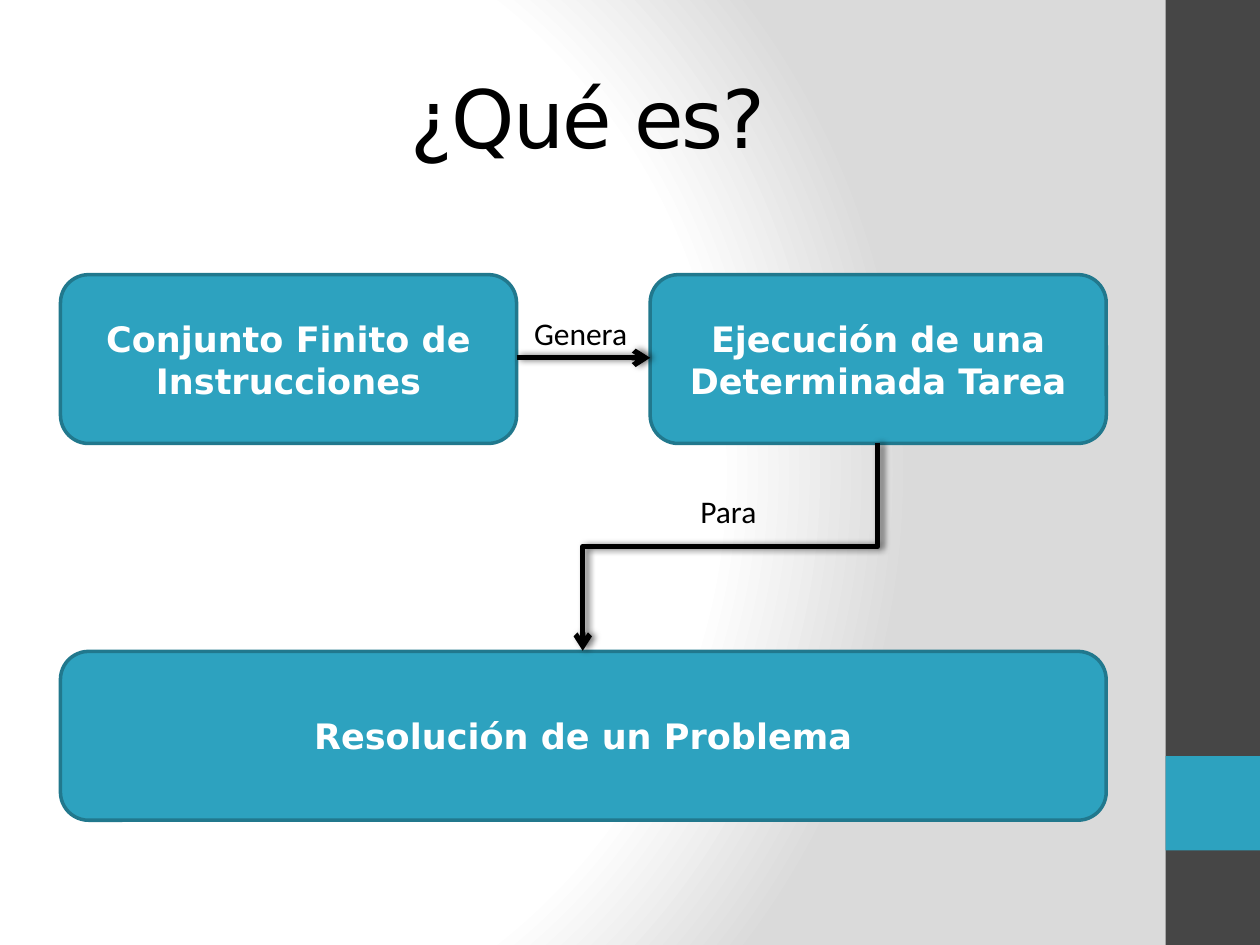
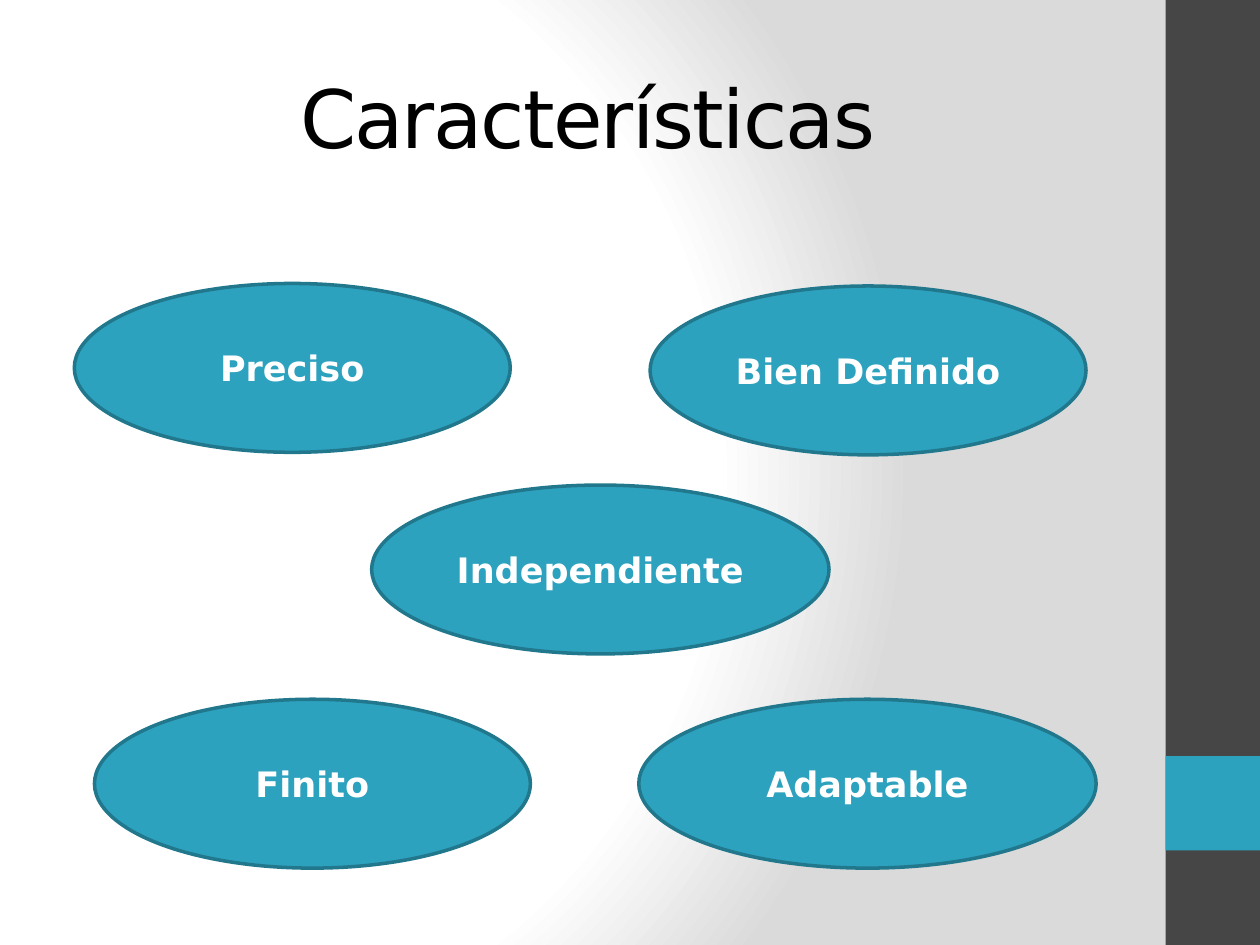
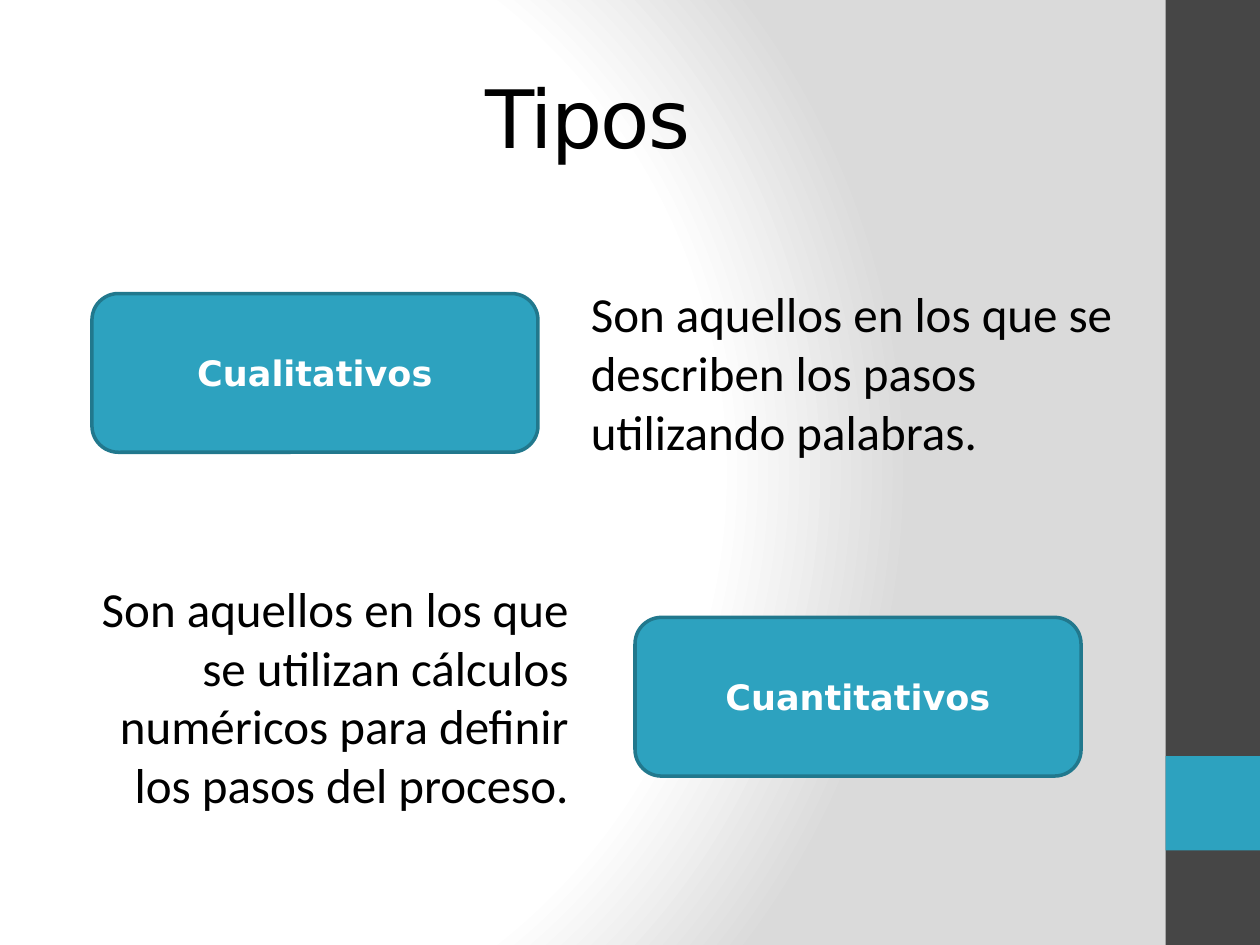
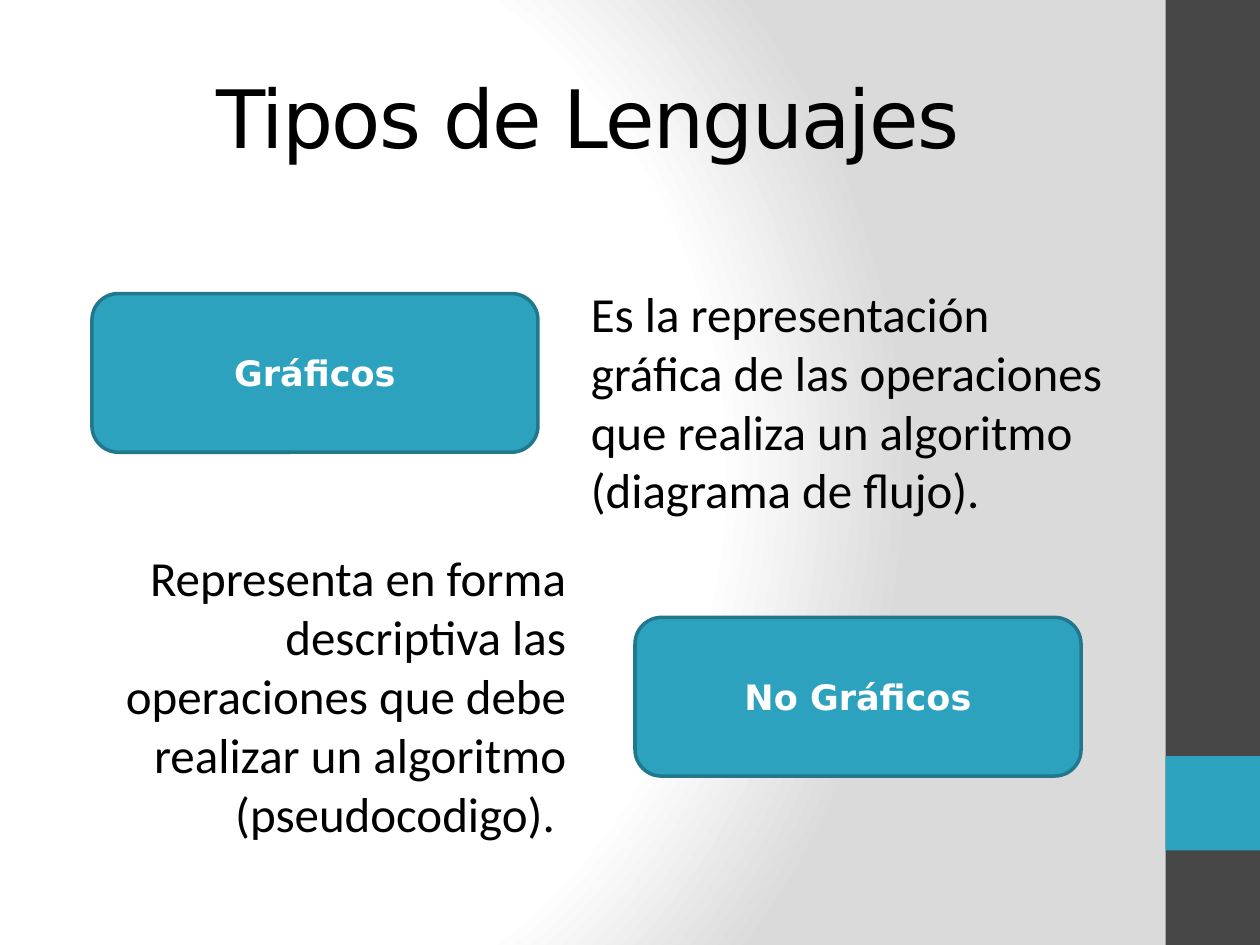
"""Build a four-slide deck on algorithms: definition, traits, types and languages."""
import pptx
import pptx.util
import pptx.oxml
import pptx.oxml.ns
import pptx.dml.color
import pptx.enum.shapes
import pptx.enum.text

Inches, Pt = pptx.util.Inches, pptx.util.Pt
SHAPE = pptx.enum.shapes.MSO_SHAPE
CONNECTOR = pptx.enum.shapes.MSO_CONNECTOR
ALIGN = pptx.enum.text.PP_ALIGN
ANCHOR = pptx.enum.text.MSO_ANCHOR
RGB = pptx.dml.color.RGBColor.from_string
NS = pptx.oxml.ns.nsdecls("a")

COLORS = {"white": "FFFFFF", "grey": "DADADA", "dark": "464646",
          "teal": "2DA2BF", "edge": "21788D", "black": "000000"}

BACKGROUND = f"""<a:gradFill {NS} rotWithShape="1"><a:gsLst>
<a:gs pos="0"><a:srgbClr val="{COLORS['white']}"/></a:gs>
<a:gs pos="75000"><a:srgbClr val="{COLORS['white']}"/></a:gs>
<a:gs pos="100000"><a:srgbClr val="{COLORS['grey']}"/></a:gs></a:gsLst>
<a:path path="circle"><a:fillToRect l="20000" t="50000" r="100000" b="50000"/></a:path>
</a:gradFill>"""
SHADOW = f"""<a:effectLst {NS}><a:outerShdw blurRad="50800" dist="25400" dir="0">
<a:srgbClr val="{COLORS['black']}"><a:alpha val="60000"/></a:srgbClr>
</a:outerShdw></a:effectLst>"""
ARROWHEAD = f'<a:tailEnd {NS} type="arrow"/>'


def add_text(s, text, box, size, align=ALIGN.LEFT, font="Calibri", grow=True):
    sp = s.shapes.add_textbox(*map(Inches, box))
    tf = sp.text_frame
    tf.text = text
    tf.word_wrap = True
    if grow:
        tf.auto_size = pptx.enum.text.MSO_AUTO_SIZE.SHAPE_TO_FIT_TEXT
    p = tf.paragraphs[0]
    p.alignment = align
    r = p.runs[0]
    r.font.size, r.font.name = Pt(size), font
    r.font.color.rgb = RGB(COLORS["black"])
    return sp


def add_node(s, kind, text, box):
    sp = s.shapes.add_shape(kind, *map(Inches, box))
    sp.shadow.inherit = False
    sp.fill.solid()
    sp.fill.fore_color.rgb = RGB(COLORS["teal"])
    sp.line.color.rgb = RGB(COLORS["edge"])
    sp.line.width = Pt(2)
    tf = sp.text_frame
    tf.text = text
    tf.vertical_anchor = ANCHOR.MIDDLE
    p = tf.paragraphs[0]
    p.alignment = ALIGN.CENTER
    r = p.runs[0]
    r.font.size, r.font.name, r.font.bold = Pt(20), "DejaVu Sans", True
    r.font.color.rgb = RGB(COLORS["white"])


prs = pptx.Presentation()
prs.slide_width, prs.slide_height = Inches(10), Inches(7.5)

master = prs.slide_master
master.background.fill.gradient()
grad = master._element.find(".//" + pptx.oxml.ns.qn("a:gradFill"))
grad.getparent().replace(grad, pptx.oxml.parse_xml(BACKGROUND))

slides = []
for title in ("¿Qué es?", "Características", "Tipos", "Tipos de Lenguajes"):
    s = prs.slides.add_slide(prs.slide_layouts[6])
    for top, height, color in ((0, 7.5, "dark"), (6, 0.75, "teal")):
        sp = s.shapes.add_shape(SHAPE.RECTANGLE, Inches(9.25), Inches(top),
                                Inches(0.75), Inches(height))
        sp.shadow.inherit = False
        sp.fill.solid()
        sp.fill.fore_color.rgb = RGB(COLORS[color])
        sp.line.fill.background()
    sp = add_text(s, title, (0.5, 0.3, 8.33, 1.25), 46, ALIGN.CENTER, "DejaVu Sans", False)
    sp.text_frame.vertical_anchor = ANCHOR.MIDDLE
    sp.text_frame.paragraphs[0].runs[0].font._element.set("spc", "-100")
    slides.append(s)
definition, traits, types, languages = slides

for text, left, top, width in (
        ("Conjunto Finito de Instrucciones", 0.48, 2.18, 3.62),
        ("Ejecución de una Determinada Tarea", 5.16, 2.18, 3.62),
        ("Resolución de un Problema", 0.48, 5.17, 8.3)):
    add_node(definition, SHAPE.ROUNDED_RECTANGLE, text, (left, top, width, 1.34))

for kind, ends, turn in ((CONNECTOR.STRAIGHT, (4.1, 2.84, 5.16, 2.84), 0),
                         (CONNECTOR.ELBOW, (4.97, 3.17, 6.62, 5.51), 90)):
    cx = definition.shapes.add_connector(kind, *map(Inches, ends))
    cx.line.color.rgb = RGB(COLORS["black"])
    cx.line.width = Pt(3)
    cx.line._get_or_add_ln().append(pptx.oxml.parse_xml(ARROWHEAD))
    cx._element.spPr.append(pptx.oxml.parse_xml(SHADOW))
    if turn:
        cx._element.spPr.xfrm.set("rot", str(turn * 60000))

add_text(definition, "Genera", (4.14, 2.44, 1.73, 0.4), 18)
add_text(definition, "Para", (5.46, 3.86, 0.68, 0.4), 18)

for text, left, top, width in (
        ("Preciso", 0.59, 2.25, 3.46),
        ("Bien Definido", 5.16, 2.27, 3.46),
        ("Finito", 0.75, 5.55, 3.46),
        ("Independiente", 2.95, 3.85, 3.63),
        ("Adaptable", 5.07, 5.55, 3.63)):
    add_node(traits, SHAPE.OVAL, text, (left, top, width, 1.34))

for s, first, second, first_text, first_height, second_text, second_box in (
        (types, "Cualitativos", "Cuantitativos",
         "Son aquellos en los que se describen los pasos utilizando palabras.", 1.51,
         "Son aquellos en los que se utilizan cálculos numéricos para definir "
         "los pasos del proceso.", (0.59, 4.54, 4.02, 1.99)),
        (languages, "Gráficos", "No Gráficos",
         "Es la representación gráfica de las operaciones que realiza un algoritmo "
         "(diagrama de flujo). ", 1.99,
         "Representa en forma descriptiva las operaciones que debe realizar un "
         "algoritmo (pseudocodigo). ", (0.57, 4.3, 4.02, 2.46))):
    add_node(s, SHAPE.ROUNDED_RECTANGLE, first, (0.73, 2.33, 3.54, 1.26))
    add_node(s, SHAPE.ROUNDED_RECTANGLE, second, (5.04, 4.9, 3.54, 1.26))
    add_text(s, first_text, (4.59, 2.2, 4.41, first_height), 28)
    add_text(s, second_text, second_box, 28, ALIGN.RIGHT)

prs.save("out.pptx")
